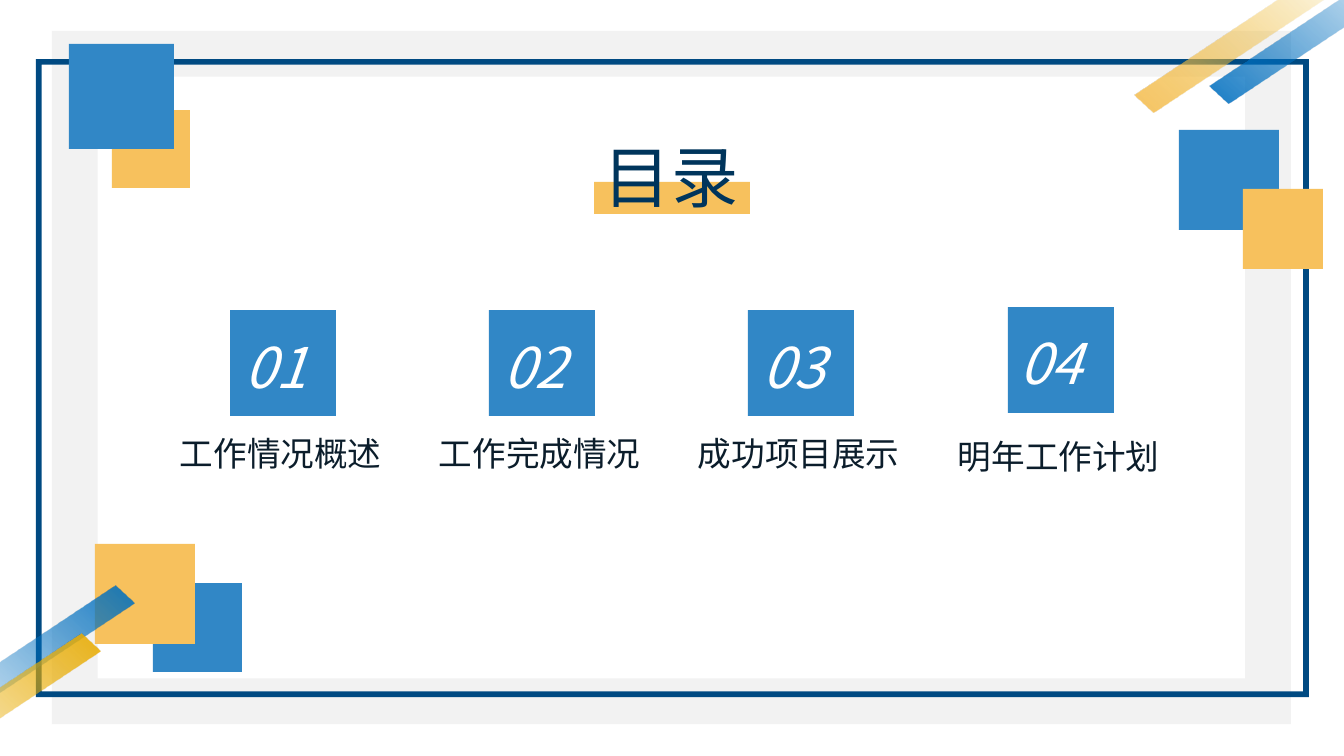
from lxml import etree
from pptx import Presentation
from pptx import util as u
from pptx.dml.color import RGBColor
from pptx.enum import shapes, text
from pptx.oxml.ns import qn

PX = 914400 / 100.8
FONT = "Noto Sans CJK SC"
COLORS = {
    "band": "F2F2F2", "border": "004A82", "blue": "3187C6", "yellow": "F7C15D",
    "deep_blue": "0070C0", "gold": "E9AC01", "title": "00355C",
    "label": "0B1D2B", "white": "FFFFFF",
}
TOPICS = ["工作情况概述", "工作完成情况", "成功项目展示", "明年工作计划"]


def px(length):
    """Turn pixels into EMU."""
    return u.Emu(round(length * PX))


def rgb(name):
    """Look up a palette colour."""
    return RGBColor.from_string(COLORS[name])


def add_block(slide, box, color, kind=shapes.MSO_SHAPE.RECTANGLE, adjust=None):
    """Add a filled shape without outline or shadow."""
    block = slide.shapes.add_shape(kind, *map(px, box))
    block.shadow.inherit = False
    block.line.fill.background()
    block.fill.solid()
    block.fill.fore_color.rgb = rgb(color)
    if adjust is not None:
        block.adjustments[0] = adjust
    return block


def add_text(slide, box, words, size, color, italic=False):
    """Add one line of text in its own box."""
    frame = slide.shapes.add_textbox(*map(px, box)).text_frame
    frame.word_wrap = False
    frame.auto_size = text.MSO_AUTO_SIZE.SHAPE_TO_FIT_TEXT
    run = frame.paragraphs[0].add_run()
    run.text = words
    run.font.size = u.Pt(size)
    run.font.name = FONT
    run.font.italic = italic
    run.font.color.rgb = rgb(color)
    etree.SubElement(run.font._element, qn("a:ea")).set("typeface", FONT)


def add_stripe(slide, left, top, rotation, start, end):
    """Add a diagonal stripe that fades to transparent."""
    stripe = add_block(slide, (left, top, 343, 82), start,
                       shapes.MSO_SHAPE.DIAGONAL_STRIPE, 0.678)
    stripe.rotation = rotation
    stripe._element.spPr.find(qn("a:xfrm")).set("flipH", "1")
    stripe.fill.gradient()
    stripe.fill.gradient_angle = 0
    stops = stripe.fill.gradient_stops
    for stop, color, position in zip(stops, (start, end), (0, 0.68)):
        stop.color.rgb = rgb(color)
        stop.position = position
    faded = stripe._element.spPr.findall(".//" + qn("a:srgbClr"))[-1]
    etree.SubElement(faded, qn("a:alpha")).set("val", "0")


def add_backdrop(slide, width, height):
    """Draw the frames, corner squares and stripes."""
    frame = shapes.MSO_SHAPE.FRAME
    add_block(slide, (52, 31, width - 105, height - 63), "band", frame, 0.066)
    add_block(slide, (36, 59, width - 71, height - 118), "border", frame, 0.009)
    for left, top, side, color in [
        (width - 165, 130, 100, "blue"),
        (112, 110, 78, "yellow"),
        (153, height - 173, 89, "blue"),
        (69, 44, 105, "blue"),
        (95, height - 212, 100, "yellow"),
    ]:
        add_block(slide, (left, top, side, side), color)
    add_stripe(slide, -184, height - 96, 312.9, "deep_blue", "deep_blue")
    add_stripe(slide, -218, height - 48, 312.9, "gold", "gold")
    add_stripe(slide, width - 159, -53, 132.9, "deep_blue", "deep_blue")
    add_stripe(slide, width - 234, -44, 132.9, "yellow", "gold")
    add_block(slide, (width - 101, 189, 80, 80), "yellow")


def add_title(slide, left, top, width, height):
    """Draw the heading over its highlight bar."""
    add_block(slide, (left, top + 52, width, 32), "yellow")
    add_text(slide, (left, top, width, height), "目录", 48, "title")


def add_topic(slide, left, top, number, topic, number_offset, label_drop):
    """Draw a numbered square with its topic below."""
    dx, dy = number_offset
    add_text(slide, (left - 60, top + label_drop, 224, 50), topic, 24, "label")
    add_block(slide, (left, top, 106, 106), "blue")
    add_text(slide, (left + dx, top + dy, 87, 78), f"{number:02}", 40, "white",
             italic=True)


def add_agenda(slide, left, top, span):
    """Spread the topics evenly, with the last one slightly raised."""
    last = len(TOPICS) - 1
    for index, topic in enumerate(TOPICS):
        raised = index == last
        add_topic(slide, left + span * index // last, top - 3 * raised,
                  index + 1, topic, (2, 17) if raised else (5, 18),
                  124 if raised else 118)


def main():
    """Build and save the contents slide."""
    deck = Presentation()
    width, height = 1344, 756
    deck.slide_width, deck.slide_height = px(width), px(height)
    slide = deck.slides.add_slide(deck.slide_layouts[6])
    add_backdrop(slide, width, height)
    add_title(slide, 594, 130, 156, 92)
    add_agenda(slide, 230, 310, 778)
    deck.save("out.pptx")


if __name__ == "__main__":
    main()
